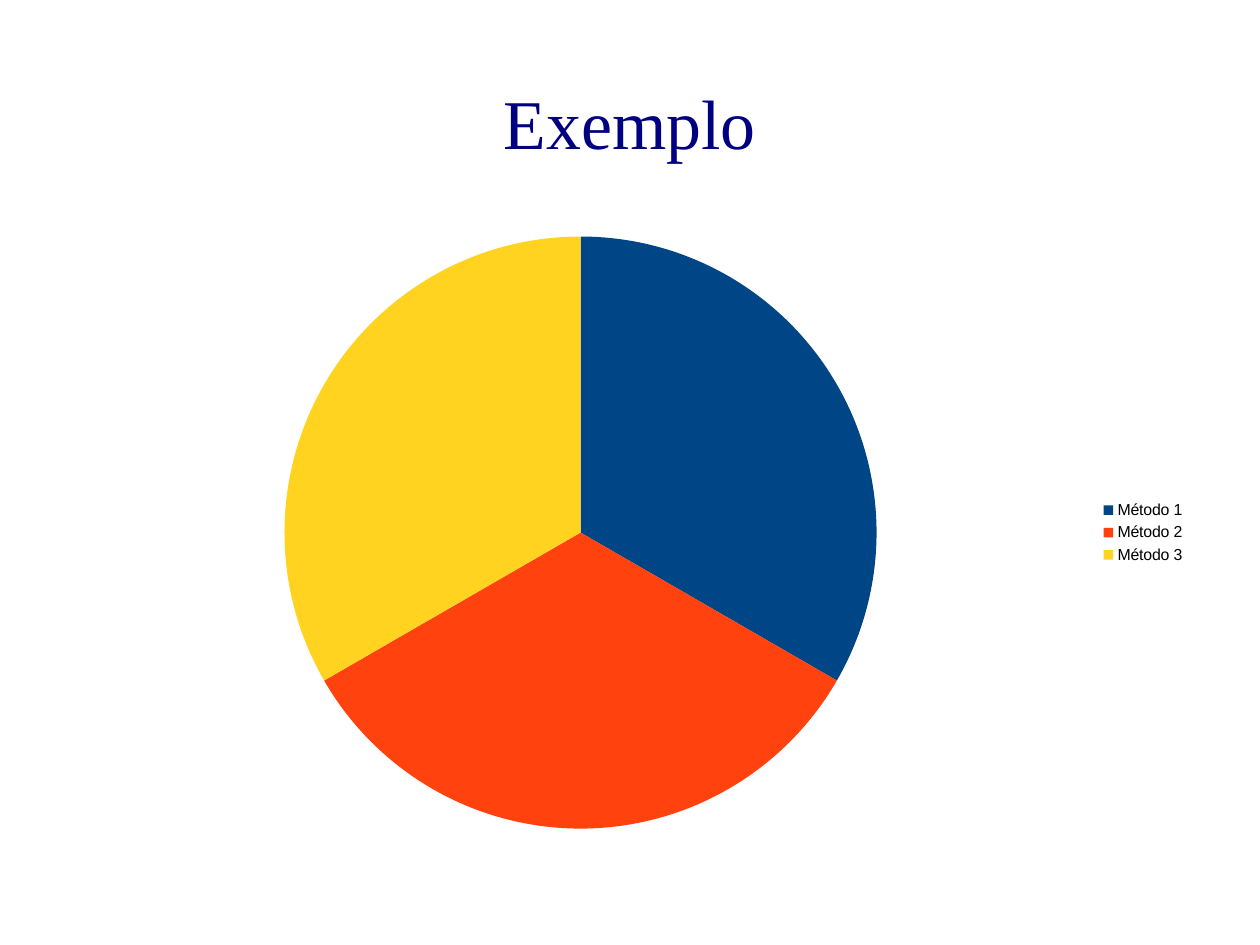
from dataclasses import dataclass

from lxml.etree import SubElement
from pptx import Presentation
from pptx.chart.data import CategoryChartData
from pptx.dml.color import RGBColor
from pptx.enum.chart import XL_CHART_TYPE, XL_LEGEND_POSITION
from pptx.enum.text import MSO_ANCHOR, PP_ALIGN
from pptx.oxml.ns import qn
from pptx.util import Pt


@dataclass(frozen=True)
class Theme:
    title_font: str = "Times New Roman"
    title_size: int = 44
    title_color: str = "000080"
    chart_font: str = "Arial"
    chart_size: int = 10
    chart_color: str = "000000"
    slices: tuple = ("004586", "FF420E", "FFD320")


THEME = Theme()
SLIDE_WIDTH, SLIDE_HEIGHT = 793.7, 595.28
MARGIN = 39.7
CONTENT_WIDTH = SLIDE_WIDTH - 2 * MARGIN
CHART_TOP, CHART_HEIGHT = 139, 393
PIE_DIAMETER, PIE_LEFT = 373, 139.5

METHODS = {"Método 1": 33, "Método 2": 33, "Método 3": 33}


def style_font(font, name, size, color):
    font.name = name
    font.size = Pt(size)
    font.color.rgb = RGBColor.from_string(color)


def set_title(slide, text):
    title = slide.shapes.title
    title.left, title.top = Pt(MARGIN), Pt(26.64)
    title.width, title.height = Pt(CONTENT_WIDTH), Pt(99.36)
    frame = title.text_frame
    frame.margin_left = frame.margin_right = 0
    frame.margin_top = frame.margin_bottom = 0
    frame.vertical_anchor = MSO_ANCHOR.MIDDLE
    frame.text = text
    heading = frame.paragraphs[0]
    heading.alignment = PP_ALIGN.CENTER
    style_font(heading.runs[0].font, THEME.title_font, THEME.title_size,
               THEME.title_color)


def place_pie(chart):
    """Fix the pie's place as fractions of the chart area."""
    plot_area = chart.plots[0]._element.getparent()
    layout = plot_area.find(qn("c:layout"))
    if layout is None:
        layout = SubElement(plot_area, qn("c:layout"))
        plot_area.insert(0, layout)
    manual = SubElement(layout, qn("c:manualLayout"))
    settings = {
        "layoutTarget": "inner",
        "xMode": "edge",
        "yMode": "edge",
        "x": PIE_LEFT / CONTENT_WIDTH,
        "y": (1 - PIE_DIAMETER / CHART_HEIGHT) / 2,
        "w": PIE_DIAMETER / CONTENT_WIDTH,
        "h": PIE_DIAMETER / CHART_HEIGHT,
    }
    for tag, value in settings.items():
        SubElement(manual, qn(f"c:{tag}")).set("val", str(value))


def add_pie(slide, values):
    pie_data = CategoryChartData()
    pie_data.categories = list(values)
    pie_data.add_series("Series 1", list(values.values()))
    chart = slide.shapes.add_chart(
        XL_CHART_TYPE.PIE, Pt(MARGIN), Pt(CHART_TOP),
        Pt(CONTENT_WIDTH), Pt(CHART_HEIGHT), pie_data).chart
    chart.has_title = False
    style_font(chart.font, THEME.chart_font, THEME.chart_size,
               THEME.chart_color)

    # Legend
    chart.has_legend = True
    chart.legend.position = XL_LEGEND_POSITION.RIGHT
    chart.legend.include_in_layout = False
    style_font(chart.legend.font, THEME.chart_font, THEME.chart_size,
               THEME.chart_color)

    # Slices
    pie = chart.plots[0]
    pie.vary_by_categories = True
    for index, color in enumerate(THEME.slices):
        slice_format = pie.series[0].points[index].format
        slice_format.fill.solid()
        slice_format.fill.fore_color.rgb = RGBColor.from_string(color)
        slice_format.line.fill.background()
    place_pie(chart)


def main():
    deck = Presentation()
    deck.slide_width, deck.slide_height = Pt(SLIDE_WIDTH), Pt(SLIDE_HEIGHT)
    slide = deck.slides.add_slide(deck.slide_layouts.get_by_name("Title Only"))
    set_title(slide, "Exemplo")
    add_pie(slide, METHODS)
    deck.save("out.pptx")


if __name__ == "__main__":
    main()
